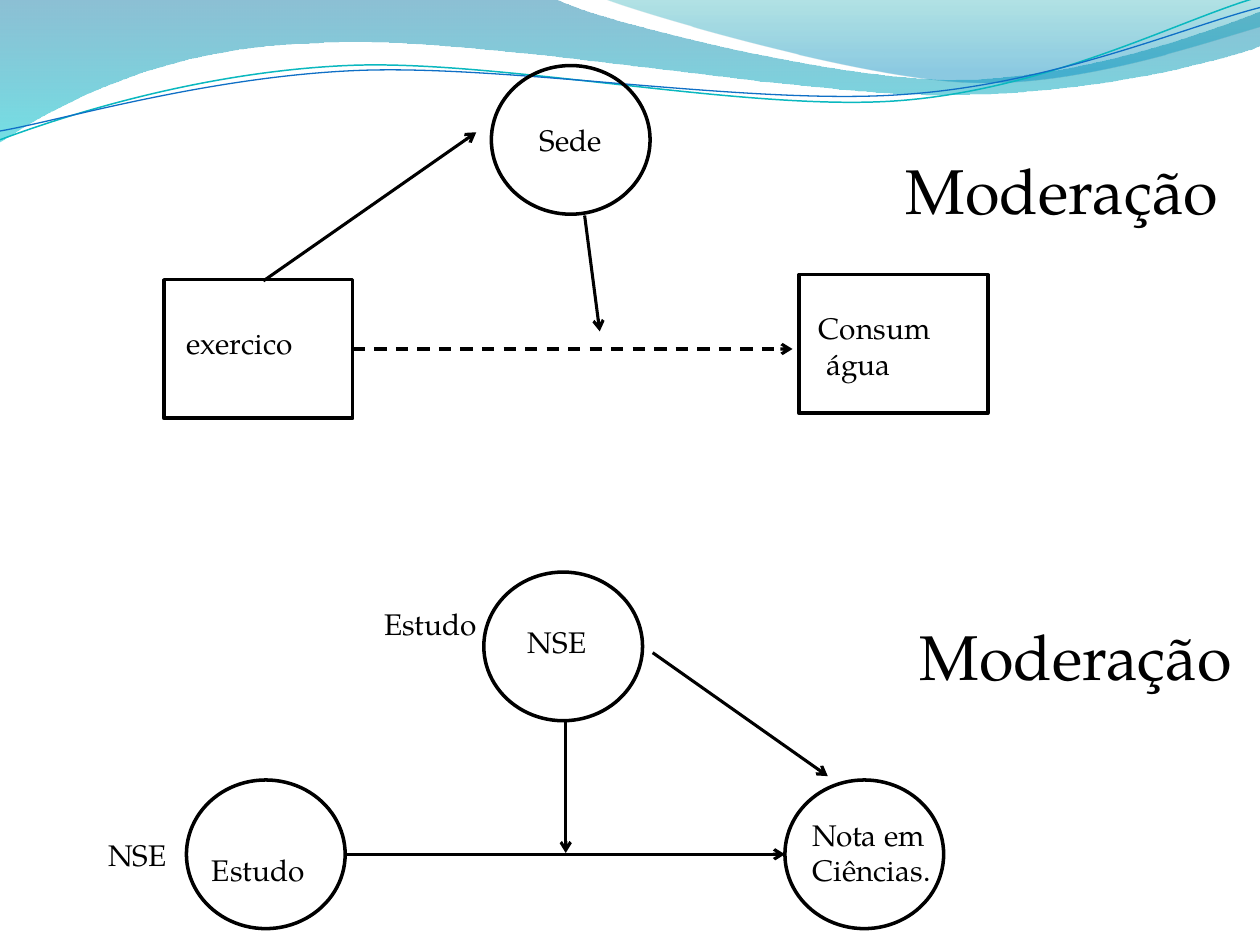
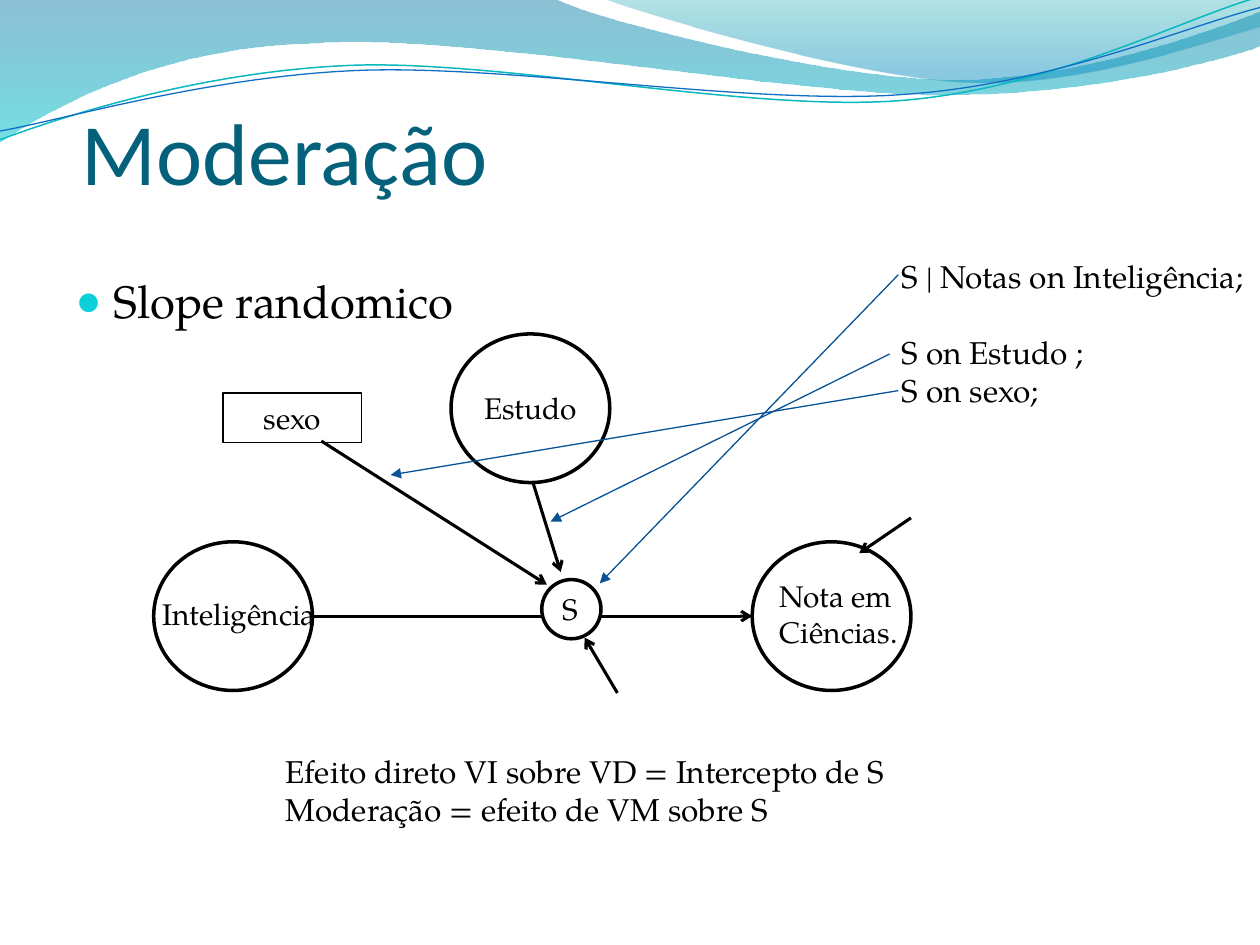
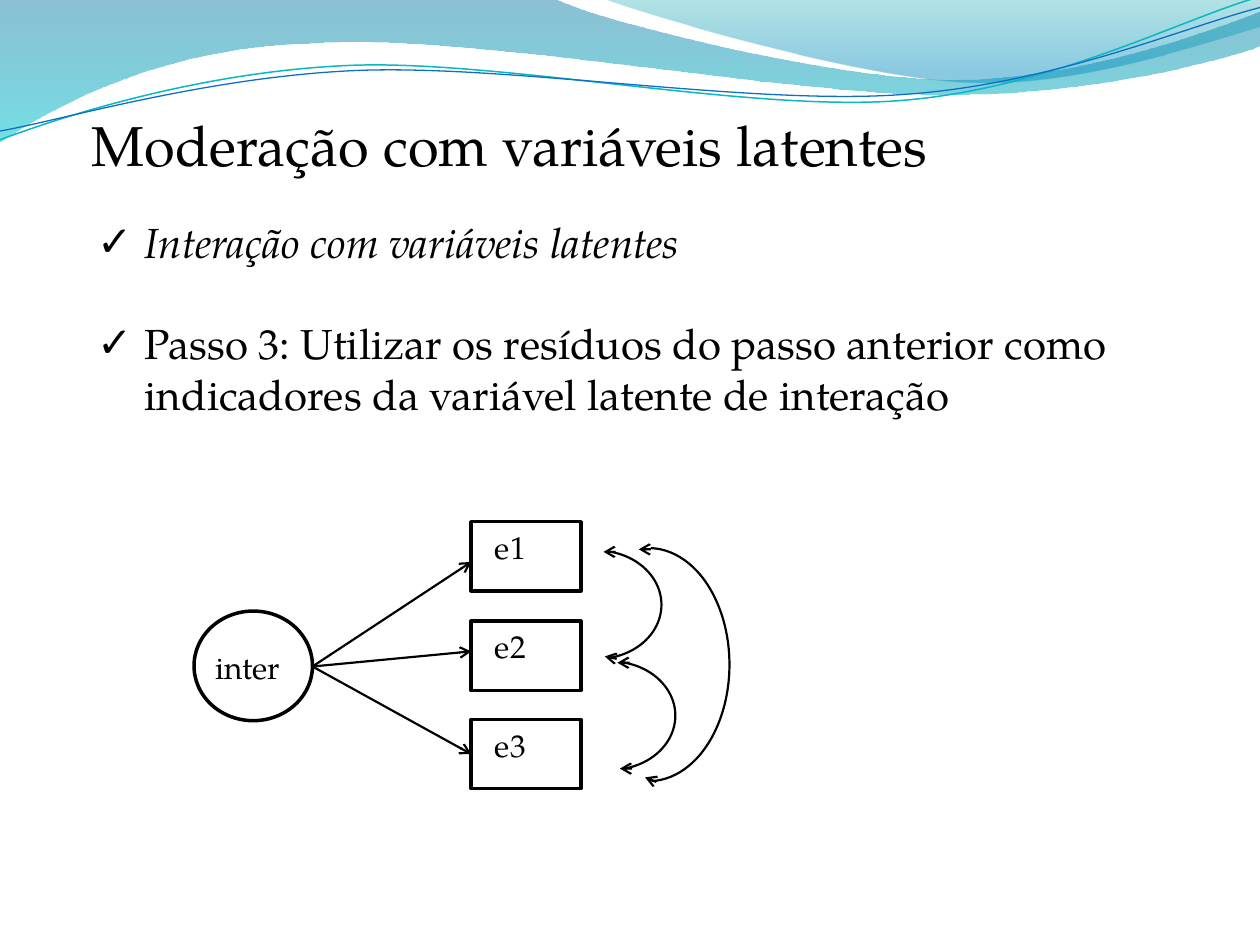
from dataclasses import dataclass

import pptx
import pptx.dml.color
import pptx.enum.dml
import pptx.enum.shapes
import pptx.enum.text
import pptx.oxml.ns
import pptx.util
from lxml import etree

Inches = pptx.util.Inches
Pt = pptx.util.Pt
qn = pptx.oxml.ns.qn
Kind = pptx.enum.shapes.MSO_SHAPE
Anchor = pptx.enum.text.MSO_ANCHOR
Align = pptx.enum.text.PP_ALIGN
Fit = pptx.enum.text.MSO_AUTO_SIZE


@dataclass(frozen=True)
class Theme:
    """Colours, fonts and sizes of the deck."""
    ink: str = "000000"
    paper: str = "FFFFFF"
    head: str = "04617B"
    dot: str = "0BD0D9"
    note: str = "095295"
    teal: str = "0AB8BF"
    blue: str = "0F6FC6"
    serif: str = "TeX Gyre Pagella"
    sans: str = "Calibri"
    label: float = 17
    text: float = 18
    list: float = 24
    topic: float = 26
    page: float = 32
    name: float = 36
    title: float = 50
    fine: float = 0.75
    thin: float = 1.25
    arrow: float = 1.75
    edge: float = 2


LOOK = Theme()
ROUND = (1.26, 1.18)
BLOCK = (1.5, 1.1)

BANDS = [
    ([(0, 0), (4.4, -0.01), (4.76, 0.17, 6.64, 0.63, 7.58, 0.63),
      (8.53, 0.63, 9.58, 0.26, 10, 0.09), (10.01, 0.36),
      (9.83, 0.44, 8.7, 0.76, 7.46, 0.75), (6.22, 0.75, 3.82, 0.28, 2.57, 0.34),
      (1.29, 0.36, 0.46, 0.83, -0.01, 1.13)],
     [(0, "0074A1", 45), (1, "00C6CF", 55)]),
    ([(4.79, -0.01), (5.09, 0.11, 6.82, 0.62, 7.69, 0.65),
      (8.56, 0.69, 9.61, 0.32, 10, 0.21), (10, 0)],
     [(0, "00A1A9", 30), (0.8, "008BBF", 45)]),
]
WAVES = [
    ([(0, 1.11), (0.48, 0.93, 1.58, 0.57, 2.77, 0.52),
      (3.95, 0.47, 5.93, 0.89, 7.13, 0.8), (8.33, 0.71, 9.38, 0.15, 9.98, -0.02)],
     LOOK.teal, 0.85),
    ([(0, 1.04), (0.47, 0.96, 1.64, 0.61, 2.83, 0.56),
      (4.03, 0.51, 5.97, 0.84, 7.17, 0.75), (8.36, 0.67, 9.41, 0.21, 10, 0.06)],
     LOOK.blue, LOOK.fine),
]


def rgb(code):
    """Turn a hex code into a colour."""
    return pptx.dml.color.RGBColor.from_string(code)


def bend(shape, steps):
    """Merge the three segments of each curved step into one cubic curve."""
    lines = iter(list(shape.element.iter(qn("a:lnTo"))))
    for step in steps[1:]:
        first = next(lines)
        if len(step) == 6:
            first.tag = qn("a:cubicBezTo")
            for _ in range(2):
                line = next(lines)
                first.append(line[0])
                line.getparent().remove(line)


def outline(slide, steps, close):
    """Draw a free outline from corners and cubic curves."""
    points = [(Inches(step[i]), Inches(step[i + 1]))
              for step in steps for i in range(0, len(step), 2)]
    pen = slide.shapes.build_freeform(*points[0])
    pen.add_line_segments(points[1:], close=close)
    shape = pen.convert_to_shape()
    shape.shadow.inherit = False
    bend(shape, steps)
    return shape


def band(slide, steps, stops):
    """Draw a closed band with a clear gradient."""
    shape = outline(slide, steps, True)
    shape.line.fill.background()
    shape.fill.gradient()
    shape.fill.gradient_angle = 270
    for stop, (place, code, _) in zip(shape.fill.gradient_stops, stops):
        stop.position = place
        stop.color.rgb = rgb(code)
    tints = shape.element.spPr.iter(qn("a:srgbClr"))
    for tint, (_, _, alpha) in zip(tints, stops):
        etree.SubElement(tint, qn("a:alpha"), val=str(alpha * 1000))
    return shape


def wave(slide, steps, code, width):
    """Draw an open curved line."""
    shape = outline(slide, steps, False)
    shape.fill.background()
    stroke(shape, code, width)
    return shape


def dress(deck, slide):
    """Move the bands and waves to the back of the master."""
    parts = [band(slide, *item) for item in BANDS]
    parts += [wave(slide, *item) for item in WAVES]
    tree = deck.slide_master.shapes.element
    for i, part in enumerate(parts):
        tree.insert(2 + i, part.element)


def stroke(shape, code, width):
    """Set the colour and width of a line."""
    shape.line.color.rgb = rgb(code)
    shape.line.width = Pt(width)


def place(shape, box):
    """Move a shape to left, top, width and height."""
    shape.left, shape.top, shape.width, shape.height = map(Inches, box)


def style(para, size, code=LOOK.ink, face=LOOK.serif, align=Align.LEFT):
    """Format a whole paragraph."""
    para.alignment = align
    para.font.size = Pt(size)
    para.font.name = face
    para.font.color.rgb = rgb(code)


def label(slide, box, lines, size=LOOK.label, align=Align.LEFT):
    """Add a text box with one paragraph per line."""
    shape = slide.shapes.add_textbox(*map(Inches, box))
    frame = shape.text_frame
    frame.word_wrap = True
    frame.auto_size = Fit.SHAPE_TO_FIT_TEXT
    frame.text = lines
    for para in frame.paragraphs:
        style(para, size, align=align)
    return frame


def title(slide, box, text, size, code=LOOK.ink, face=LOOK.serif):
    """Fill and place the title."""
    shape = slide.shapes.title
    place(shape, box)
    frame = shape.text_frame
    frame.text = text
    frame.auto_size = Fit.NONE
    frame.vertical_anchor = Anchor.TOP
    style(frame.paragraphs[0], size, code, face)
    return frame


def bullets(slide, box, items, size, mark, dent, code=LOOK.ink, scale=100, gap=0):
    """Fill and place the body as a bullet list."""
    shape = slide.placeholders[1]
    place(shape, box)
    frame = shape.text_frame
    frame.text = "\n".join(items)
    frame.auto_size = Fit.NONE
    for i, para in enumerate(frame.paragraphs):
        para.space_before = Pt(gap if i else 0)
        props = para._p.get_or_add_pPr()
        props.set("marL", str(Inches(dent)))
        props.set("indent", str(-Inches(dent)))
        tint = etree.SubElement(props, qn("a:buClr"))
        etree.SubElement(tint, qn("a:srgbClr"), val=code)
        etree.SubElement(props, qn("a:buSzPct"), val=str(scale * 1000))
        etree.SubElement(props, qn("a:buChar"), char=mark)
        style(para, size)
    return frame


def node(slide, kind, box, fill=None, width=LOOK.edge):
    """Add an outlined shape."""
    shape = slide.shapes.add_shape(kind, *map(Inches, box))
    shape.shadow.inherit = False
    if fill:
        shape.fill.solid()
        shape.fill.fore_color.rgb = rgb(fill)
    else:
        shape.fill.background()
    stroke(shape, LOOK.ink, width)
    return shape


def link(slide, start, end, width=LOOK.arrow, code=LOOK.ink, tip="arrow", dash=False):
    """Add a straight arrow."""
    line = slide.shapes.add_connector(
        pptx.enum.shapes.MSO_CONNECTOR.STRAIGHT, *map(Inches, start + end))
    stroke(line, code, width)
    if dash:
        line.line.dash_style = pptx.enum.dml.MSO_LINE.DASH
    props = line.element.spPr
    etree.SubElement(props.find(qn("a:ln")), qn("a:tailEnd"), type=tip)
    etree.SubElement(props, qn("a:effectLst"))
    return line


def arc(slide, box, turns):
    """Add an arc between two angles."""
    shape = node(slide, Kind.ARC, box, width=LOOK.thin)
    for i, turn in enumerate(turns):
        shape.adjustments[i] = turn


def effects(slide):
    """Build the two moderation diagrams."""
    title(slide, (7.09, 1.15, 2.81, 0.71), "Moderação", LOOK.name)
    label(slide, (7.2, 4.85, 2.81, 0.71), "Moderação", LOOK.name)
    for spot in ((3.9, 0.52), (1.48, 6.19), (6.23, 6.19), (3.84, 4.54)):
        node(slide, Kind.OVAL, spot + ROUND)
    cause = node(slide, Kind.RECTANGLE, (1.3, 2.22) + BLOCK)
    node(slide, Kind.RECTANGLE, (6.34, 2.18) + BLOCK)

    route = link(slide, (2.8, 2.77), (6.29, 2.77), dash=True)
    route.begin_connect(cause, 3)
    for start, end in (((4.64, 1.71), (4.76, 2.63)), ((2.74, 6.78), (6.23, 6.78)),
                       ((4.49, 5.72), (4.49, 6.77)), ((2.09, 2.23), (3.78, 1.05)),
                       ((5.18, 5.18), (6.57, 6.16))):
        link(slide, start, end)

    label(slide, (6.4, 2.41, 1.1, 0.67), "Consum\n água")
    label(slide, (6.35, 6.43, 1.19, 0.67), "Nota em Ciências.")
    for x, y, text in ((0.76, 6.59, "NSE"), (1.38, 2.53, "exercico"), (4.09, 4.9, "NSE")):
        label(slide, (x, y, 1.65, 0.39), text)
    for x, y, text in ((3.98, 0.92, "Sede"), (1.5, 6.71, "Estudo"), (2.87, 4.76, "Estudo")):
        label(slide, (x, y, 1.1, 0.39), text, align=Align.CENTER)


def slope(slide):
    """Build the random slope diagram."""
    frame = title(slide, (0.65, 0.36, 9, 1.25), "Moderação", LOOK.title, LOOK.head, LOOK.sans)
    frame.vertical_anchor = Anchor.BOTTOM
    frame.margin_left = frame.margin_right = frame.margin_bottom = 0
    bullets(slide, (0.5, 2.12, 9, 0.69), ["Slope randomico"], LOOK.topic, "●", 0.3,
            LOOK.dot, 95)

    for spot in ((1.22, 4.3), (5.97, 4.3), (3.58, 2.65)):
        node(slide, Kind.OVAL, spot + ROUND)
    link(slide, (2.48, 4.89), (5.97, 4.89))
    node(slide, Kind.OVAL, (4.3, 4.6, 0.47, 0.47), LOOK.paper)
    sex = node(slide, Kind.RECTANGLE, (1.77, 3.12, 1.1, 0.39), width=LOOK.fine)
    sex.text_frame.text = "sexo"
    style(sex.text_frame.paragraphs[0], LOOK.label, align=Align.CENTER)

    for start, end in (((4.23, 3.83), (4.45, 4.54)), ((7.23, 4.11), (6.82, 4.39)),
                       ((4.9, 5.5), (4.64, 5.06)), ((2.55, 3.5), (4.34, 4.64))):
        link(slide, start, end)
    for start, end in (((7.13, 2.18), (4.76, 4.63)), ((7.06, 2.81), (4.37, 4.14)),
                       ((7.13, 3.1), (3.1, 3.77))):
        link(slide, start, end, LOOK.fine, LOOK.note, "triangle")

    label(slide, (1.19, 4.68, 1.65, 0.39), "Inteligência")
    label(slide, (6.09, 4.54, 1.19, 0.67), "Nota em Ciências.")
    label(slide, (3.66, 3.04, 1.1, 0.39), "Estudo", align=Align.CENTER)
    label(slide, (3.98, 4.64, 1.1, 0.39), "S", align=Align.CENTER)
    label(slide, (2.17, 5.92, 6.06, 1.01),
          "Efeito direto VI sobre VD = Intercepto de S\nModeração = efeito de VM sobre S",
          LOOK.text)
    code = label(slide, (7.06, 1.99, 3.06, 1.31),
                 "S | Notas on Inteligência;\nS on Estudo ;\nS on sexo;", LOOK.text)
    code.paragraphs[1].space_before = Pt(22)


def latent(slide):
    """Build the latent interaction diagram."""
    title(slide, (0.63, 0.83, 9.57, 0.64), "Moderação com variáveis latentes", LOOK.page)
    frame = bullets(slide, (0.67, 1.67, 9.06, 2.12), [
        "Interação com variáveis latentes",
        "Passo 3: Utilizar os resíduos do passo anterior como indicadores "
        "da variável latente de interação"], LOOK.list, "✓", 0.38, gap=29)
    frame.paragraphs[0].font.italic = True

    node(slide, Kind.OVAL, (1.54, 4.85, 0.94, 0.87))
    label(slide, (1.61, 5.09, 0.87, 0.4), "inter", LOOK.text)
    for i, (top, end) in enumerate(((4.14, 4.46), (4.93, 5.17), (5.71, 5.99)), 1):
        box = node(slide, Kind.RECTANGLE, (3.74, top, 0.87, 0.55))
        label(slide, (3.83, top, 0.79, 0.4), f"e{i}", LOOK.text)
        route = link(slide, (2.48, 5.29), (3.74, end), LOOK.thin)
    route.end_connect(box, 1)

    near = (169.63, 44.74)
    arc(slide, (4.23, 4.37, 1.02, 0.86), near)
    arc(slide, (4.34, 5.25, 1.02, 0.86), near)
    arc(slide, (4.51, 4.35, 1.28, 1.85), (162.59, 53.17))
    for start, end in (((4.83, 4.38), (4.79, 4.38)), ((4.85, 5.22), (4.8, 5.21)),
                       ((4.94, 5.26), (4.9, 5.26)), ((4.97, 6.1), (4.92, 6.1)),
                       ((5.11, 4.36), (5.07, 4.36)), ((5.17, 6.19), (5.12, 6.17))):
        link(slide, start, end, LOOK.thin)


def main():
    """Build and save the deck."""
    deck = pptx.Presentation()
    deck.slide_width, deck.slide_height = Inches(10), Inches(7.5)
    pages = [deck.slides.add_slide(deck.slide_layouts[i]) for i in (5, 1, 1)]
    dress(deck, pages[0])
    for build, page in zip((effects, slope, latent), pages):
        build(page)
    deck.save("out.pptx")


if __name__ == "__main__":
    main()
